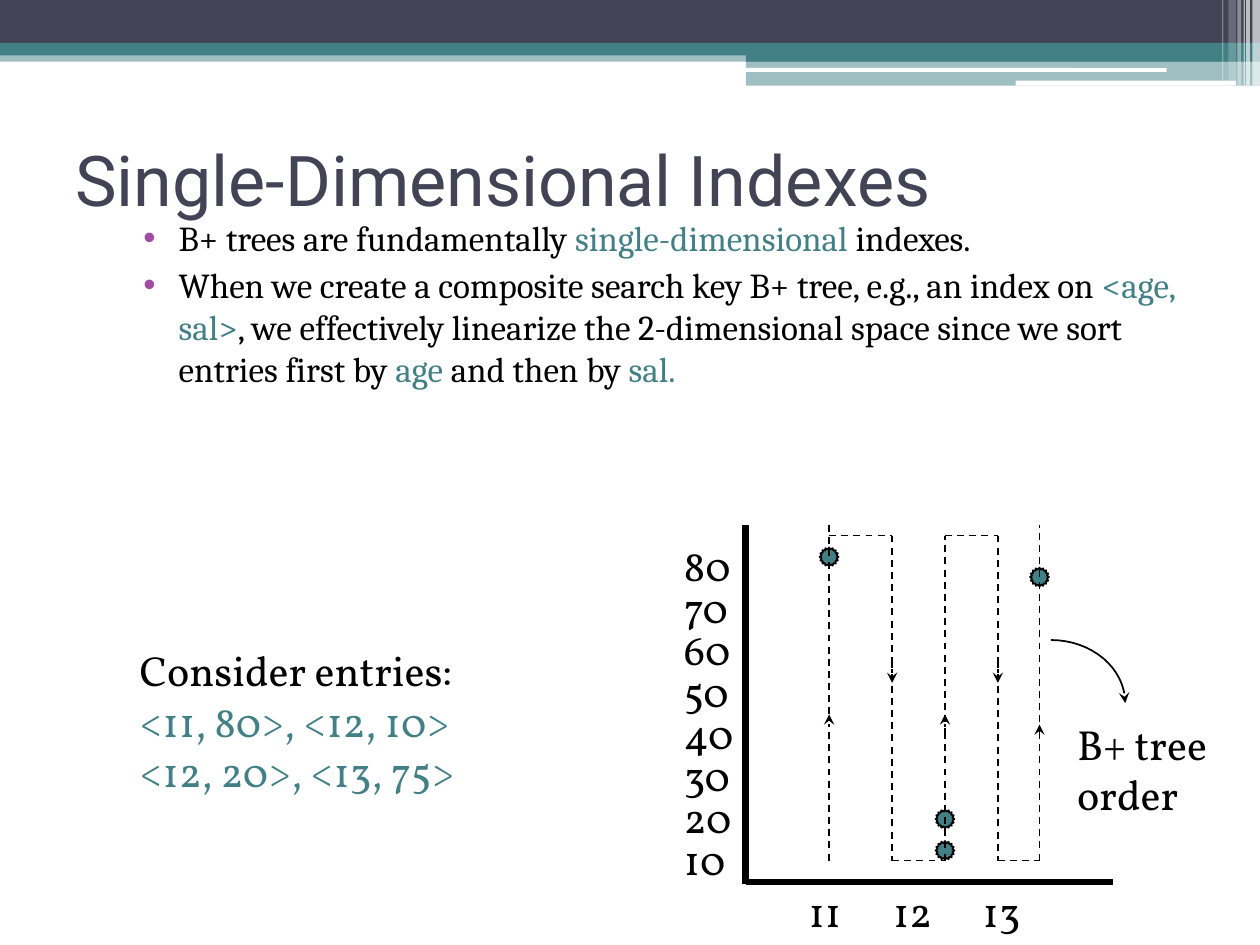
from math import cos, pi, sin

from lxml.etree import SubElement
from pptx import Presentation
from pptx.dml.color import RGBColor
from pptx.enum.dml import MSO_LINE
from pptx.enum.shapes import MSO_CONNECTOR, MSO_SHAPE
from pptx.enum.text import MSO_ANCHOR
from pptx.oxml.ns import qn
from pptx.util import Inches, Pt

COLORS = {"navy": "424456", "teal": "438086", "white": "FFFFFF",
          "black": "000000", "bullet": "A04DA3"}
TITLE = {"name": "Roboto", "size": Pt(40)}
BODY = {"name": "Cambria", "size": Pt(20)}
LABEL = {"name": "Vollkorn", "size": Pt(24)}

# Theme bands: left, top, width, height, colour, opacity in percent
BANDS = [
    (0, 0.4, 10, 0.09, "teal", 50),
    (0, 0, 10, 0.34, "navy", 100),
    (0, 0.34, 10, 0.1, "teal", 100),
    (5.92, 0.39, 4.08, 0.1, "teal", 100),
    (5.92, 0.48, 4.08, 0.2, "teal", 50),
]
ROUNDED_BANDS = [
    (5.91, 0.54, 3.35, 0.03, "white", 100),
    (8.06, 0.64, 1.75, 0.04, "white", 100),
]
STRIPES = [
    (9.94, 0, 0.06, 0.68, "white", 65),
    (9.89, 0, 0.03, 0.68, "white", 65),
    (9.87, 0, 0.01, 0.68, "white", 60),
    (9.82, 0, 0.03, 0.68, "white", 40),
    (9.75, 0, 0.06, 0.64, "white", 20),
    (9.7, 0, 0.01, 0.64, "white", 30),
]

# Plot geometry
X11, DOWN1, X12, DOWN2, X13 = 6.58, 7.08, 7.5, 7.92, 8.25
OVER, TOP, BOTTOM = 4.17, 4.25, 6.83
ENTRIES = [(X11, 4.42), (X13, 4.58), (X12, 6.5), (X12, 6.75)]
# Each run of the sort order: x1, y1, x2, y2, has arrowhead
ORDER = [
    (X11, BOTTOM, X11, 5.67, True), (X11, 5.67, X11, OVER, False),
    (X11, TOP, DOWN1, TOP, False),
    (DOWN1, TOP, DOWN1, 5.42, True), (DOWN1, 5.25, DOWN1, BOTTOM, False),
    (DOWN1, BOTTOM, X12, BOTTOM, False),
    (X12, BOTTOM, X12, 5.67, True), (X12, 5.83, X12, TOP, False),
    (X12, TOP, DOWN2, TOP, False),
    (DOWN2, TOP, DOWN2, 5.42, True), (DOWN2, 5.25, DOWN2, BOTTOM, False),
    (DOWN2, BOTTOM, X13, BOTTOM, False),
    (X13, BOTTOM, X13, 5.75, True), (X13, 5.83, X13, OVER, False),
]


def rgb(color):
    return RGBColor.from_string(COLORS[color])


def add_solid(s, kind, box, color, alpha=100):
    sp = s.shapes.add_shape(kind, *map(Inches, box))
    sp.shadow.inherit = False
    sp.fill.solid()
    sp.fill.fore_color.rgb = rgb(color)
    sp.line.fill.background()
    if alpha < 100:
        clr = sp._element.spPr.find(qn("a:solidFill"))[0]
        SubElement(clr, qn("a:alpha"), val=str(alpha * 1000))
    return sp


def style_line(line, width, dashed=False, arrow=False):
    line.color.rgb = rgb("black")
    line.width = Pt(width)
    if dashed:
        line.dash_style = MSO_LINE.DASH
    if arrow:
        SubElement(line._get_or_add_ln(), qn("a:tailEnd"), type="stealth")


def add_line(s, x1, y1, x2, y2, width=1, dashed=False, arrow=False):
    cxn = s.shapes.add_connector(MSO_CONNECTOR.STRAIGHT,
                                 *map(Inches, (x1, y1, x2, y2)))
    style_line(cxn.line, width, dashed, arrow)
    SubElement(cxn._element.spPr, qn("a:effectLst"))


def add_text(s, box, paragraphs, fmt, anchor=MSO_ANCHOR.TOP):
    """Each paragraph is a list of (text, colour) runs."""
    tf = s.shapes.add_textbox(*map(Inches, box)).text_frame
    tf.word_wrap = True
    tf.vertical_anchor = anchor
    for i, runs in enumerate(paragraphs):
        p = tf.paragraphs[0] if i == 0 else tf.add_paragraph()
        for text, color in runs:
            r = p.add_run()
            r.text = text
            for key, value in fmt.items():
                setattr(r.font, key, value)
            r.font.color.rgb = rgb(color)
    return tf


def add_bullets(tf):
    for p in tf.paragraphs:
        p.space_before = Pt(3)
        pPr = p._p.get_or_add_pPr()
        pPr.set("marL", str(Inches(0.4)))
        pPr.set("indent", str(Inches(-0.28)))
        clr = SubElement(pPr, qn("a:buClr"))
        SubElement(clr, qn("a:srgbClr"), val=COLORS["bullet"])
        SubElement(pPr, qn("a:buFont"), typeface="Arial")
        SubElement(pPr, qn("a:buChar"), char="•")


def add_tabs(p, stops):
    tabs = SubElement(p._p.get_or_add_pPr(), qn("a:tabLst"))
    for stop in stops:
        SubElement(tabs, qn("a:tab"), pos=str(Inches(stop)), algn="l")


def add_entry(s, x, y, size=0.15):
    sp = add_solid(s, MSO_SHAPE.STAR_16_POINT,
                   (x - size / 2, y - size / 2, size, size), "teal")
    sp.adjustments[0] = 0.4
    style_line(sp.line, 1)


def add_curved_arrow(s, x, y, width, height, steps=16):
    """Quarter ellipse running from the top left to the bottom right."""
    angles = [pi / 2 * i / steps for i in range(steps + 1)]
    points = [(Inches(x + width * sin(a)), Inches(y + height * (1 - cos(a))))
              for a in angles]
    fb = s.shapes.build_freeform(*points[0])
    fb.add_line_segments(points[1:], close=False)
    sp = fb.convert_to_shape()
    sp.shadow.inherit = False
    sp.fill.background()
    style_line(sp.line, 1, arrow=True)


def add_theme(s):
    for kind, bands in ((MSO_SHAPE.RECTANGLE, BANDS),
                        (MSO_SHAPE.ROUNDED_RECTANGLE, ROUNDED_BANDS),
                        (MSO_SHAPE.RECTANGLE, STRIPES)):
        for *box, color, alpha in bands:
            add_solid(s, kind, box, color, alpha)


def add_plot(s):
    # Axes and their labels
    tf = add_text(s, (6.32, 6.98, 2.36, 0.5), [[("11\t12\t13", "black")]], LABEL)
    add_tabs(tf.paragraphs[0], (0.67, 1.38))
    add_line(s, 5.92, OVER, 5.92, 7.02, width=4)
    add_line(s, 5.92, 7, 8.83, 7, width=4)
    for i, value in enumerate(range(80, 0, -10)):
        add_text(s, (5.33, 4.23 + i / 3, 0.6, 0.5), [[(str(value), "black")]], LABEL)
    # Entries and the order that links them
    for x, y in ENTRIES:
        add_entry(s, x, y)
    for *ends, arrow in ORDER:
        add_line(s, *ends, dashed=True, arrow=arrow)
    add_curved_arrow(s, 8.34, 5.08, 0.59, 0.5)
    add_text(s, (8.45, 5.65, 1.32, 0.9),
             [[("B+ tree", "black")], [("order", "black")]], LABEL)


def main():
    prs = Presentation()
    prs.slide_width, prs.slide_height = Inches(10), Inches(7.5)
    s = prs.slides.add_slide(prs.slide_layouts[6])
    add_theme(s)

    # Title and bullets
    add_text(s, (0.5, 0.83, 9, 1.17), [[("Single-Dimensional Indexes", "navy")]],
             TITLE, MSO_ANCHOR.MIDDLE)
    add_bullets(add_text(s, (0.92, 1.67, 8.83, 2.08), [
        [("B+ trees are fundamentally ", "black"),
         ("single-dimensional ", "teal"), ("indexes.", "black")],
        [("When we create a composite search key B+ tree, e.g., an index on ", "black"),
         ("<age, sal>", "teal"),
         (", we effectively linearize the 2-dimensional space since we sort "
          "entries first by ", "black"),
         ("age", "teal"), (" and then by ", "black"), ("sal.", "teal")],
    ], BODY))

    # Sample entries and their plot
    add_text(s, (1.01, 5.07, 2.95, 1.3), [
        [("Consider entries:", "black")],
        [("<11, 80>, <12, 10>", "teal")],
        [("<12, 20>, <13, 75>", "teal")],
    ], LABEL)
    add_plot(s)
    prs.save("out.pptx")


if __name__ == "__main__":
    main()
